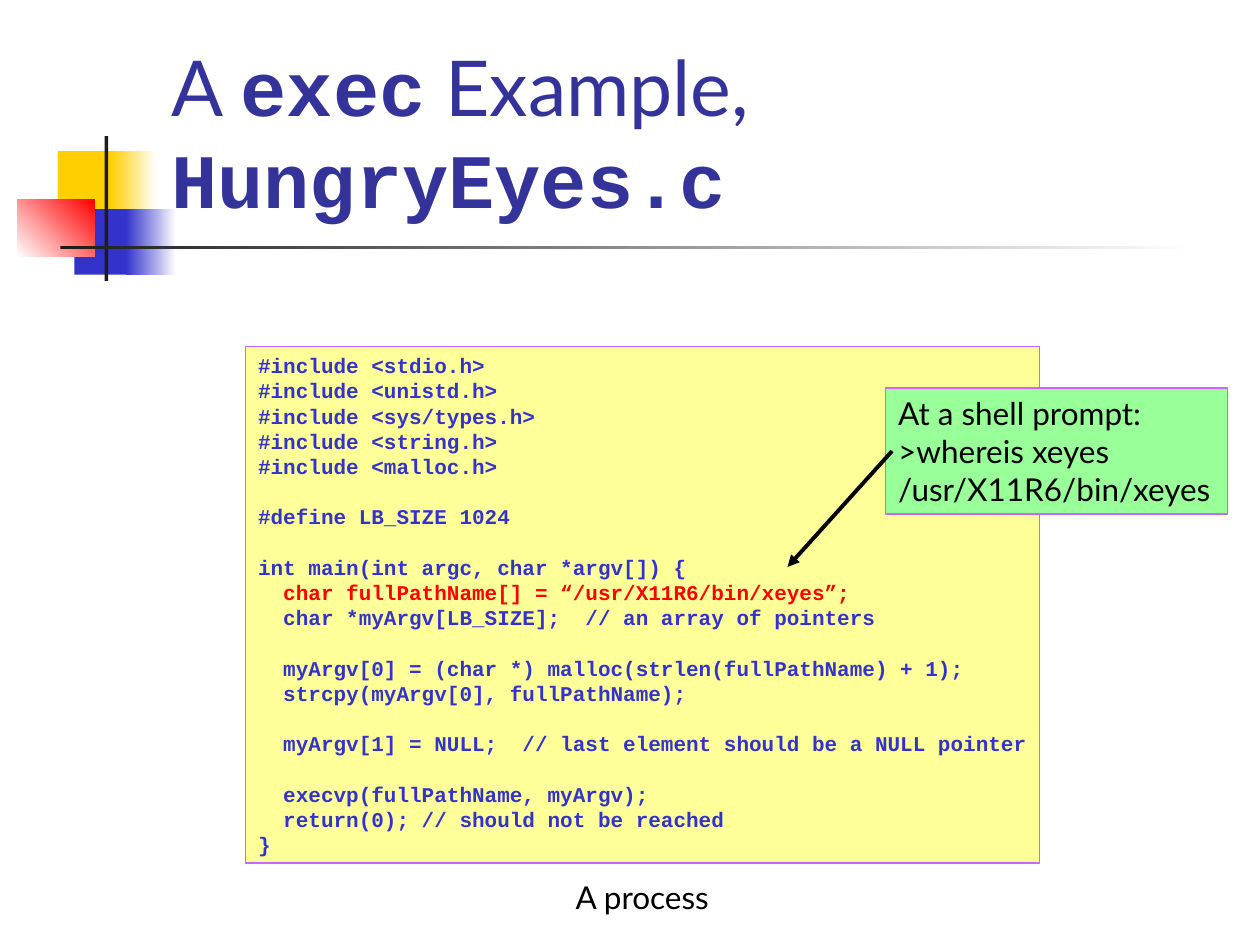
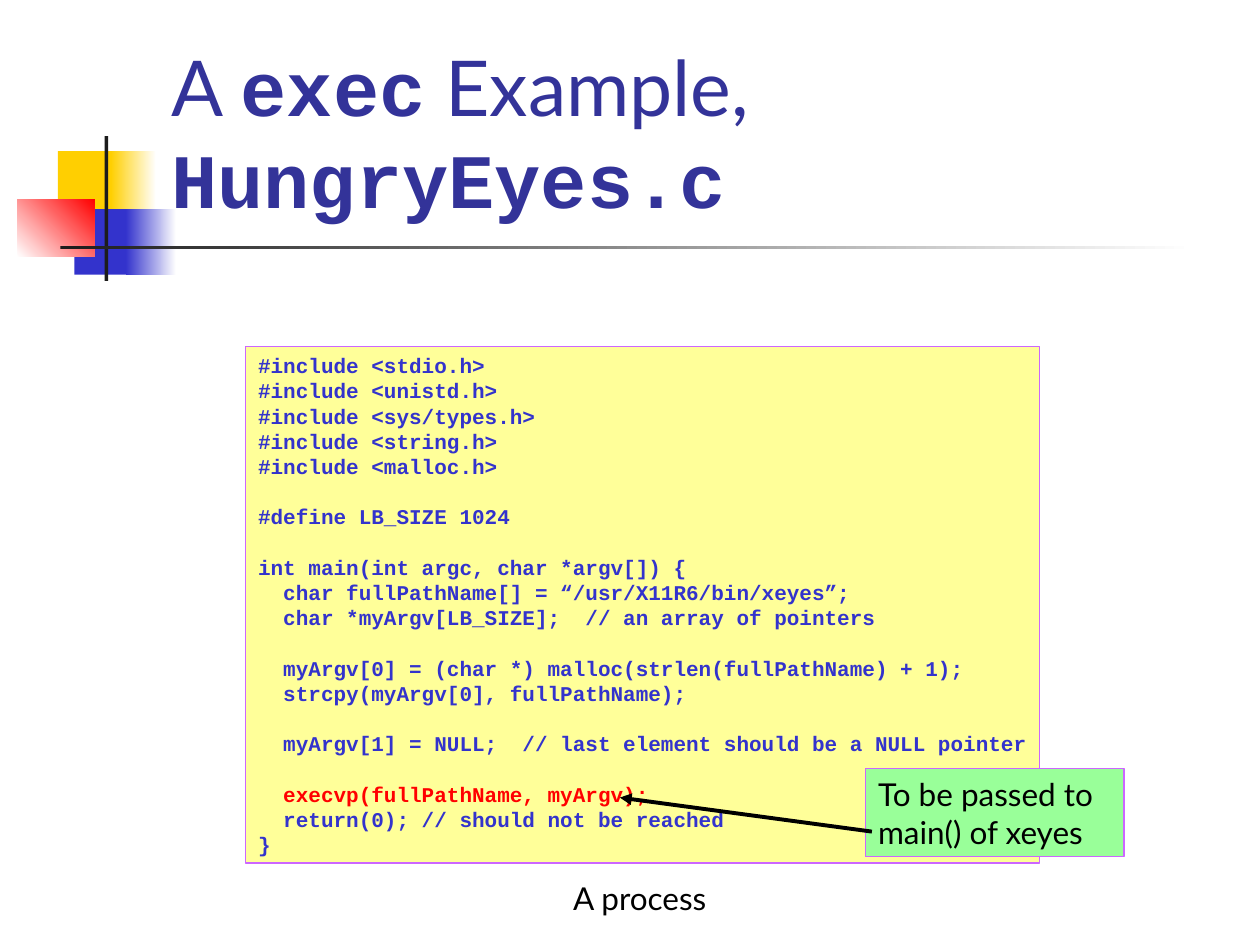
from lxml import etree
from pptx import Presentation
from pptx.dml.color import RGBColor
from pptx.enum.shapes import MSO_CONNECTOR, MSO_SHAPE
from pptx.enum.text import MSO_ANCHOR, PP_ALIGN
from pptx.oxml.ns import qn
from pptx.util import Inches, Pt

RECT = MSO_SHAPE.RECTANGLE
STRAIGHT = MSO_CONNECTOR.STRAIGHT
LEFT = PP_ALIGN.LEFT
TOP, BOTTOM = MSO_ANCHOR.TOP, MSO_ANCHOR.BOTTOM

WHITE = RGBColor(0xFF, 0xFF, 0xFF)
BLACK = RGBColor(0x00, 0x00, 0x00)
GOLD = RGBColor(0xFF, 0xCF, 0x01)
BLUE = RGBColor(0x33, 0x33, 0xCC)
NAVY = RGBColor(0x33, 0x33, 0x99)
RED = RGBColor(0xFF, 0x00, 0x00)
DARK = RGBColor(0x1C, 0x1C, 0x1C)
CREAM = RGBColor(0xFF, 0xFF, 0x99)
GREEN = RGBColor(0x99, 0xFF, 0x99)
PINK = RGBColor(0xCC, 0x66, 0xFF)

SANS, MONO = "Lato", "Courier New"
PITCH = Pt(14.4)

# Place, first colour, last colour (None for a plain fill), angle
MOTIF = [
    ((0.46, 1.2, 0.48, 0.52), GOLD, None, 0),
    ((0.88, 1.2, 0.36, 0.52), GOLD, WHITE, 0),
    ((0.59, 1.66, 0.46, 0.52), BLUE, None, 0),
    ((1, 1.66, 0.4, 0.52), BLUE, WHITE, 0),
    ((0.14, 1.58, 0.61, 0.46), WHITE, RED, 45),
    ((0.83, 1.08, 0.03, 1.15), DARK, None, 0),
    ((0.48, 1.95, 9, 0.03), DARK, WHITE, 0),
]

TITLE = [("A ", SANS), ("exec", MONO), (" Example, ", SANS),
         ("HungryEyes.c", MONO)]

CODE = """#include <stdio.h>
#include <unistd.h>
#include <sys/types.h>
#include <string.h>
#include <malloc.h>

#define LB_SIZE 1024

int main(int argc, char *argv[]) {
  char fullPathName[] = “/usr/X11R6/bin/xeyes”;
  char *myArgv[LB_SIZE];  // an array of pointers

  myArgv[0] = (char *) malloc(strlen(fullPathName) + 1);
  strcpy(myArgv[0], fullPathName);

  myArgv[1] = NULL;  // last element should be a NULL pointer

  execvp(fullPathName, myArgv);
  return(0); // should not be reached
}"""

SLIDES = [
    {"hot": "char fullPathName", "label": (4.47, 6.92, 1.33, 0.4),
     "note": ["At a shell prompt:", ">whereis xeyes", "/usr/X11R6/bin/xeyes"],
     "box": (7.03, 3.08, 2.71, 1), "arrow": (7.08, 3.58, 6.25, 4.5)},
    {"hot": "execvp", "label": (4.45, 6.93, 1.33, 0.4),
     "note": ["To be passed to", "main() of xeyes"],
     "box": (6.87, 6.1, 2.05, 0.7), "arrow": (6.92, 6.6, 4.92, 6.33)},
]


def write(para, text, font=SANS, size=18, color=BLACK, bold=False):
    para.alignment = LEFT
    run = para.add_run()
    run.text = text
    run.font.name = font
    run.font.size = Pt(size)
    run.font.bold = bold
    run.font.color.rgb = color


def panel(slide, place, fill, edge=None):
    """Add a flat rectangle whose text starts at the top left."""
    shape = slide.shapes.add_shape(RECT, *map(Inches, place))
    shape.shadow.inherit = False
    shape.fill.solid()
    shape.fill.fore_color.rgb = fill
    if edge:
        shape.line.color.rgb = edge
        shape.line.width = Pt(0.75)
    else:
        shape.line.fill.background()
    shape.text_frame.word_wrap = False
    shape.text_frame.vertical_anchor = TOP
    return shape


prs = Presentation()
prs.slide_width, prs.slide_height = Inches(10), Inches(7.5)

for item in SLIDES:
    slide = prs.slides.add_slide(prs.slide_layouts[5])

    for place, first, last, angle in MOTIF:
        shape = panel(slide, place, first)
        if last:
            shape.fill.gradient()
            shape.fill.gradient_angle = angle
            for stop, color in zip(shape.fill.gradient_stops, (first, last)):
                stop.color.rgb = color

    # The title stands in front of the motif
    title = slide.shapes.title
    title.element.getparent().append(title.element)
    title.left, title.top = Inches(1.26), Inches(0.23)
    title.width, title.height = Inches(8.52), Inches(1.6)
    title.text_frame.word_wrap = True
    title.text_frame.vertical_anchor = BOTTOM
    for text, font in TITLE:
        write(title.text_frame.paragraphs[0], text, font=font, size=44,
              color=NAVY, bold=font == MONO)

    # Each blank line of code becomes space before the next block
    frame = panel(slide, (1.95, 2.75, 6.3, 4.1), CREAM, PINK).text_frame
    para = frame.paragraphs[0]
    for b, block in enumerate(CODE.split("\n\n")):
        for n, line in enumerate(block.split("\n")):
            if b or n:
                para = frame.add_paragraph()
            para.line_spacing = PITCH
            if b and n == 0:
                para.space_before = PITCH
            hot = line.strip().startswith(item["hot"])
            write(para, line, font=MONO, size=12, bold=True,
                  color=RED if hot else BLUE)

    label = slide.shapes.add_textbox(*map(Inches, item["label"]))
    label.text_frame.word_wrap = False
    write(label.text_frame.paragraphs[0], "A process")

    frame = panel(slide, item["box"], GREEN, PINK).text_frame
    for n, line in enumerate(item["note"]):
        write(frame.add_paragraph() if n else frame.paragraphs[0], line)

    arrow = slide.shapes.add_connector(STRAIGHT, *map(Inches, item["arrow"]))
    arrow.line.color.rgb = BLACK
    arrow.line.width = Pt(2.25)
    props = arrow.element.spPr
    etree.SubElement(props.find(qn("a:ln")), qn("a:tailEnd"), type="triangle")
    etree.SubElement(props, qn("a:effectLst"))

prs.save("out.pptx")
